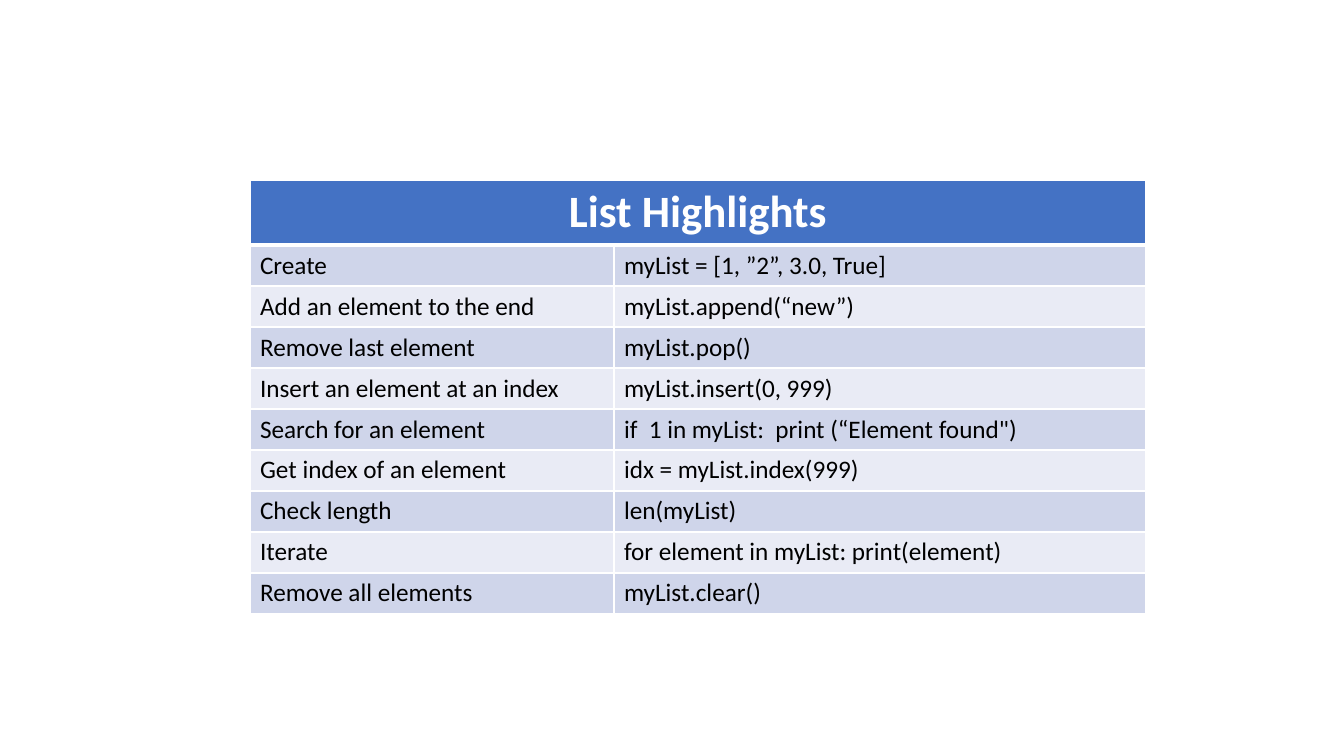
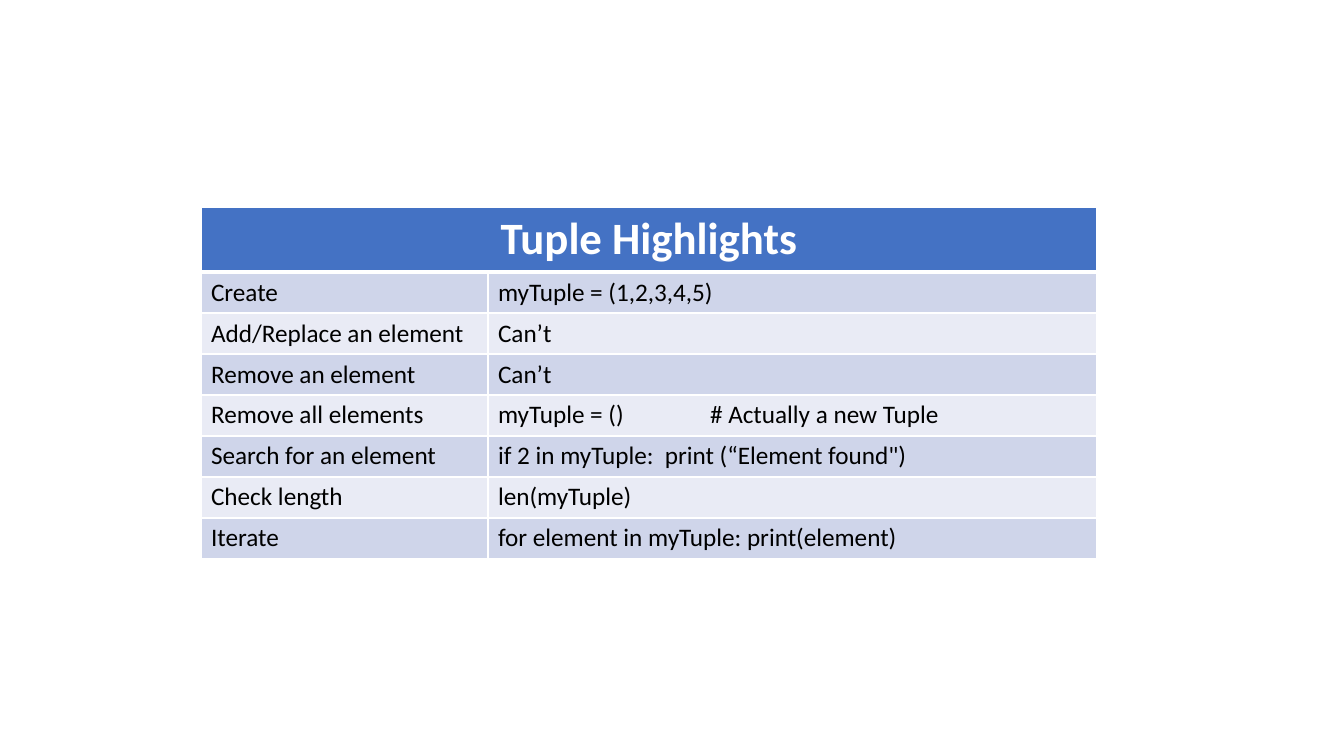
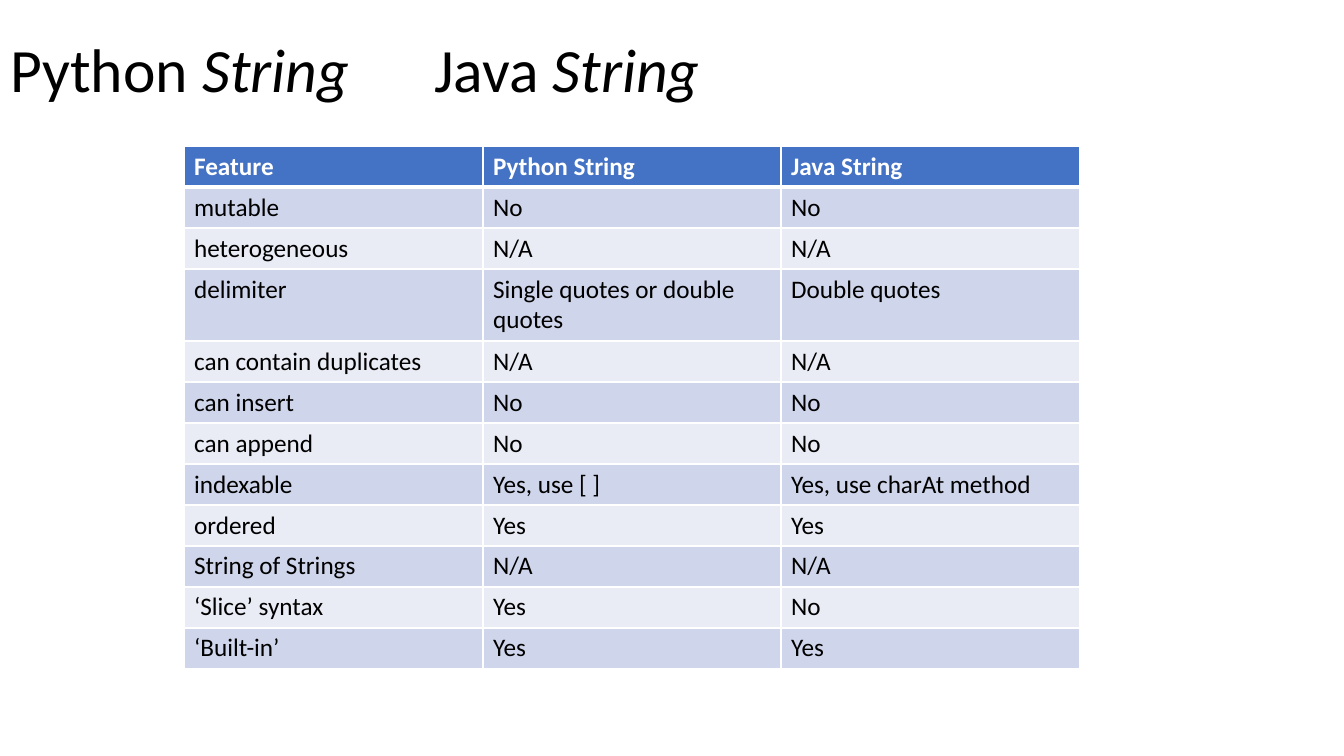
from lxml import etree
from pptx import Presentation
from pptx.dml.color import RGBColor
from pptx.enum.text import MSO_ANCHOR, PP_ALIGN
from pptx.oxml.ns import qn
from pptx.util import Pt

LEFT = PP_ALIGN.LEFT
CENTER = PP_ALIGN.CENTER
MIDDLE = MSO_ANCHOR.MIDDLE

WHITE = RGBColor(0xFF, 0xFF, 0xFF)
BLACK = RGBColor(0x00, 0x00, 0x00)
HEADER_BLUE = RGBColor(0x44, 0x72, 0xC4)
BANDS = (RGBColor(0xCF, 0xD5, 0xEA), RGBColor(0xE9, 0xEB, 0xF5))

FONT = "Calibri"
EMU_PER_INCH = 914400
PX_PER_INCH = 100.8
SLIDE_SIZE = (1344, 756)
TITLE_ONLY_LAYOUT, BLANK_LAYOUT = 5, 6
ROW_HEIGHT, BANNER_HEIGHT, TWO_LINE_HEIGHT = 41, 65, 72
THIN, THICK = 1, 3

LIST_ROWS = [
    ("List Highlights", ""),
    ("Create", "myList = [1, ”2”, 3.0, True]"),
    ("Add an element to the end", "myList.append(“new”)"),
    ("Remove last element", "myList.pop()"),
    ("Insert an element at an index", "myList.insert(0, 999)"),
    ("Search for an element", "if  1 in myList:  print (“Element found\")"),
    ("Get index of an element", "idx = myList.index(999)"),
    ("Check length", "len(myList)"),
    ("Iterate", "for element in myList: print(element)"),
    ("Remove all elements", "myList.clear()"),
]
TUPLE_ROWS = [
    ("Tuple Highlights", ""),
    ("Create", "myTuple = (1,2,3,4,5)"),
    ("Add/Replace an element", "Can’t"),
    ("Remove an element", "Can’t"),
    ("Remove all elements", "myTuple = ()\t# Actually a new Tuple"),
    ("Search for an element", "if 2 in myTuple:  print (“Element found\")"),
    ("Check length", "len(myTuple)"),
    ("Iterate", "for element in myTuple: print(element)"),
]
STRING_ROWS = [
    ("Feature", "Python String", "Java String"),
    ("mutable", "No", "No"),
    ("heterogeneous", "N/A", "N/A"),
    ("delimiter", "Single quotes or double quotes", "Double quotes"),
    ("can contain duplicates", "N/A", "N/A"),
    ("can insert", "No", "No"),
    ("can append", "No", "No"),
    ("indexable", "Yes, use [ ]", "Yes, use charAt method"),
    ("ordered", "Yes", "Yes"),
    ("String of Strings", "N/A", "N/A"),
    ("‘Slice’ syntax", "Yes", "No"),
    ("‘Built-in’", "Yes", "Yes"),
]


def px(length):
    """Turn px into EMU."""
    return round(length * EMU_PER_INCH / PX_PER_INCH)


def add_text(paragraph, text, size=18, color=BLACK, bold=False, italic=False, align=LEFT):
    """Add one formatted run to a paragraph."""
    paragraph.alignment = align
    run = paragraph.add_run()
    run.text = text
    font = run.font
    font.name, font.size = FONT, Pt(size)
    font.bold, font.italic = bold, italic
    font.color.rgb = color


def add_tab_stop(paragraph, position):
    """Give a paragraph one left tab stop."""
    tab_list = etree.SubElement(paragraph._p.get_or_add_pPr(), qn("a:tabLst"))
    etree.SubElement(tab_list, qn("a:tab"), pos=str(px(position)), algn="l")


def style_cell(cell, fill, top=THIN, bottom=THIN):
    """Draw white borders round a cell and fill it."""
    properties = cell._tc.get_or_add_tcPr()
    for side, width in (("L", THIN), ("R", THIN), ("T", top), ("B", bottom)):
        line = etree.SubElement(properties, qn(f"a:ln{side}"), w=str(Pt(width)))
        line_fill = etree.SubElement(line, qn("a:solidFill"))
        etree.SubElement(line_fill, qn("a:srgbClr"), val=str(WHITE))
    cell.fill.solid()
    cell.fill.fore_color.rgb = fill


def add_banded_table(slide, left, top, widths, rows, heights, header_format):
    """Place a banded table, with special row heights by index."""
    row_heights = [heights.get(index, ROW_HEIGHT) for index in range(len(rows))]
    frame = slide.shapes.add_table(
        len(rows), len(widths), px(left), px(top), px(sum(widths)), px(sum(row_heights)))
    table = frame.table
    for column, width in zip(table.columns, widths):
        column.width = px(width)
    for row_index, (texts, height) in enumerate(zip(rows, row_heights)):
        table.rows[row_index].height = px(height)
        is_header = row_index == 0
        fill = HEADER_BLUE if is_header else BANDS[(row_index - 1) % 2]
        text_format = header_format if is_header else {}
        for column_index, text in enumerate(texts):
            cell = table.cell(row_index, column_index)
            style_cell(cell, fill, top=THICK if row_index == 1 else THIN,
                       bottom=THICK if is_header else THIN)
            if text:
                add_text(cell.text_frame.paragraphs[0], text, **text_format)
    return table


def add_highlights_slide(presentation, left, top, widths, rows):
    """Add a slide with a table under one merged banner."""
    slide = presentation.slides.add_slide(presentation.slide_layouts[BLANK_LAYOUT])
    banner_format = {"size": 32, "color": WHITE, "bold": True, "align": CENTER}
    table = add_banded_table(slide, left, top, widths, rows, {0: BANNER_HEIGHT}, banner_format)
    table.cell(0, 0).merge(table.cell(0, len(widths) - 1))
    return table


def place_title(title, left, top, width, height, runs, tab_position):
    """Move the title placeholder and fill it with plain and italic runs."""
    title.left, title.top = px(left), px(top)
    title.width, title.height = px(width), px(height)
    title.text_frame.vertical_anchor = MIDDLE
    paragraph = title.text_frame.paragraphs[0]
    paragraph.line_spacing = 0.9
    add_tab_stop(paragraph, tab_position)
    for text, italic in runs:
        add_text(paragraph, text, size=44, italic=italic)


def add_comparison_slide(presentation, left, top, widths, rows):
    """Add a titled slide that compares the two string types."""
    slide = presentation.slides.add_slide(presentation.slide_layouts[TITLE_ONLY_LAYOUT])
    runs = [("Python ", False), ("String", True), ("\tJava", False), (" String", True)]
    place_title(slide.shapes.title, 0, 0, 1159, 146, runs, 424)
    add_banded_table(slide, left, top, widths, rows, {3: TWO_LINE_HEIGHT},
                     {"color": WHITE, "bold": True})


def main():
    """Build and save the presentation."""
    presentation = Presentation()
    presentation.slide_width, presentation.slide_height = map(px, SLIDE_SIZE)
    add_highlights_slide(presentation, 250, 180, (364, 532), LIST_ROWS)
    tuple_table = add_highlights_slide(presentation, 201, 207, (287, 609), TUPLE_ROWS)
    add_tab_stop(tuple_table.cell(4, 1).text_frame.paragraphs[0], 212)
    add_comparison_slide(presentation, 184, 146, (299, 298, 299), STRING_ROWS)
    presentation.save("out.pptx")


if __name__ == "__main__":
    main()
